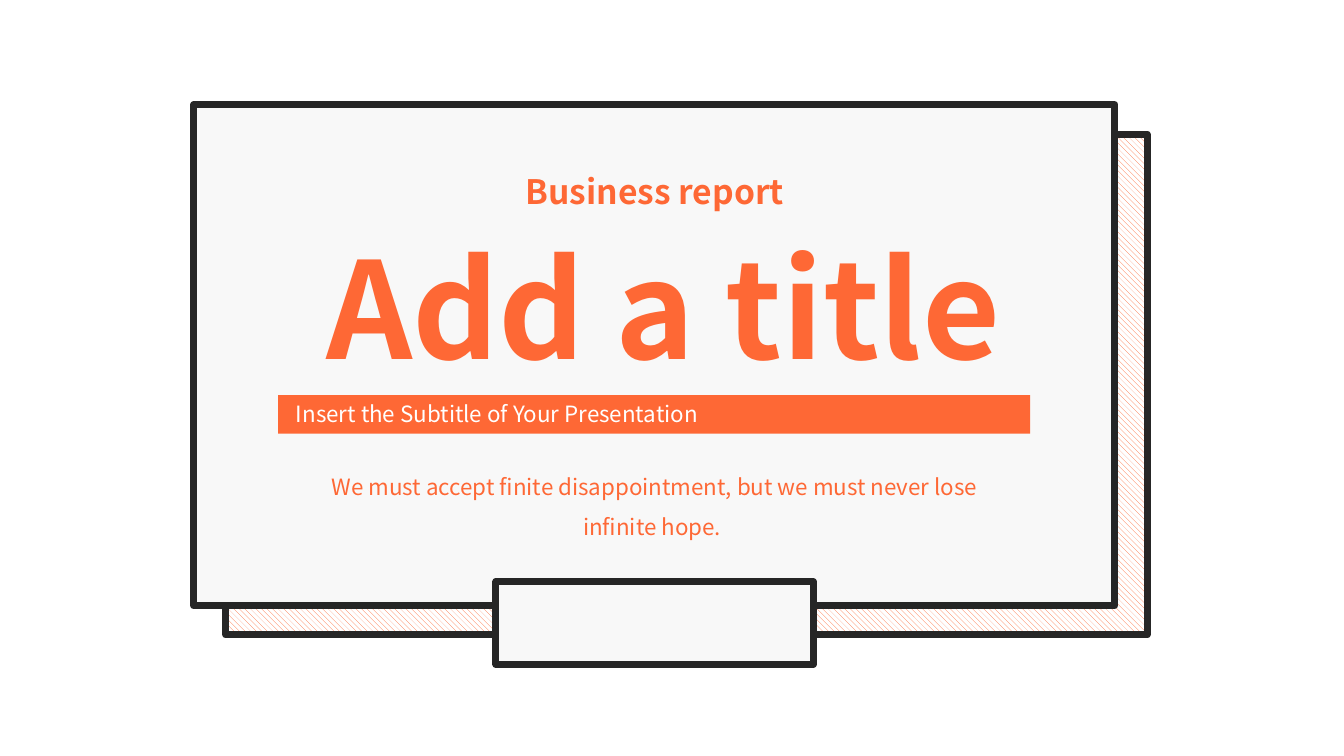
from pptx import Presentation
from pptx.dml.color import RGBColor
from pptx.enum.dml import MSO_PATTERN
from pptx.enum.shapes import MSO_SHAPE
from pptx.enum.text import MSO_AUTO_SIZE, PP_ALIGN
from pptx.util import Cm, Pt

RECT = MSO_SHAPE.RECTANGLE
HATCH = MSO_PATTERN.WIDE_DOWNWARD_DIAGONAL
GROW = MSO_AUTO_SIZE.SHAPE_TO_FIT_TEXT
CENTER = PP_ALIGN.CENTER
JUSTIFY = PP_ALIGN.JUSTIFY

FONT = "Noto Sans CJK SC"
ORANGE = "FE6835"
WHITE = "FFFFFF"
PAPER = "F8F8F8"
INK = "262626"


def color(code):
    return RGBColor.from_string(code)


def add_box(slide, place, fill, line=None):
    box = slide.shapes.add_shape(RECT, *map(Cm, place))
    box.shadow.inherit = False
    box.fill.solid()
    box.fill.fore_color.rgb = color(fill)
    if line:
        box.line.color.rgb = color(line)
        box.line.width = Pt(5)
    else:
        box.line.fill.background()
    return box


def hatch(box, front, back):
    box.fill.patterned()
    box.fill.pattern = HATCH
    box.fill.fore_color.rgb = color(front)
    box.fill.back_color.rgb = color(back)


def add_text(slide, place, text, size, code=ORANGE, bold=False,
             align=CENTER, wrap=True, space=None):
    frame = slide.shapes.add_textbox(*map(Cm, place)).text_frame
    frame.word_wrap = wrap
    frame.auto_size = GROW
    para = frame.paragraphs[0]
    para.alignment = align
    para.line_spacing = space
    run = para.add_run()
    run.text = text
    run.font.name = FONT
    run.font.size = Pt(size)
    run.font.bold = bold
    run.font.color.rgb = color(code)


def main():
    deck = Presentation()
    deck.slide_width, deck.slide_height = Cm(33.87), Cm(19.05)
    slide = deck.slides.add_slide(deck.slide_layouts[6])

    back = add_box(slide, (5.69, 3.38, 23.22, 12.62), WHITE, INK)
    hatch(back, ORANGE, WHITE)
    add_box(slide, (4.88, 2.64, 23.22, 12.62), PAPER, INK)
    add_box(slide, (12.5, 14.66, 8, 2.08), PAPER, INK)

    add_text(slide, (7.47, 5.54, 18.49, 4.37), "Add a title", 96,
             bold=True, wrap=False)
    add_text(slide, (5.69, 4.17, 21.62, 1.27), "Business report", 24,
             bold=True)
    add_box(slide, (7.01, 9.96, 18.95, 0.97), ORANGE)
    add_text(slide, (7.21, 9.96, 18.57, 0.94),
             "Insert the Subtitle of Your Presentation", 16, WHITE,
             align=JUSTIFY)
    add_text(slide, (8.03, 11.46, 16.94, 2.18),
             "We must accept finite disappointment, "
             "but we must never lose infinite hope. ", 16, space=1.5)

    deck.save("out.pptx")


if __name__ == "__main__":
    main()
